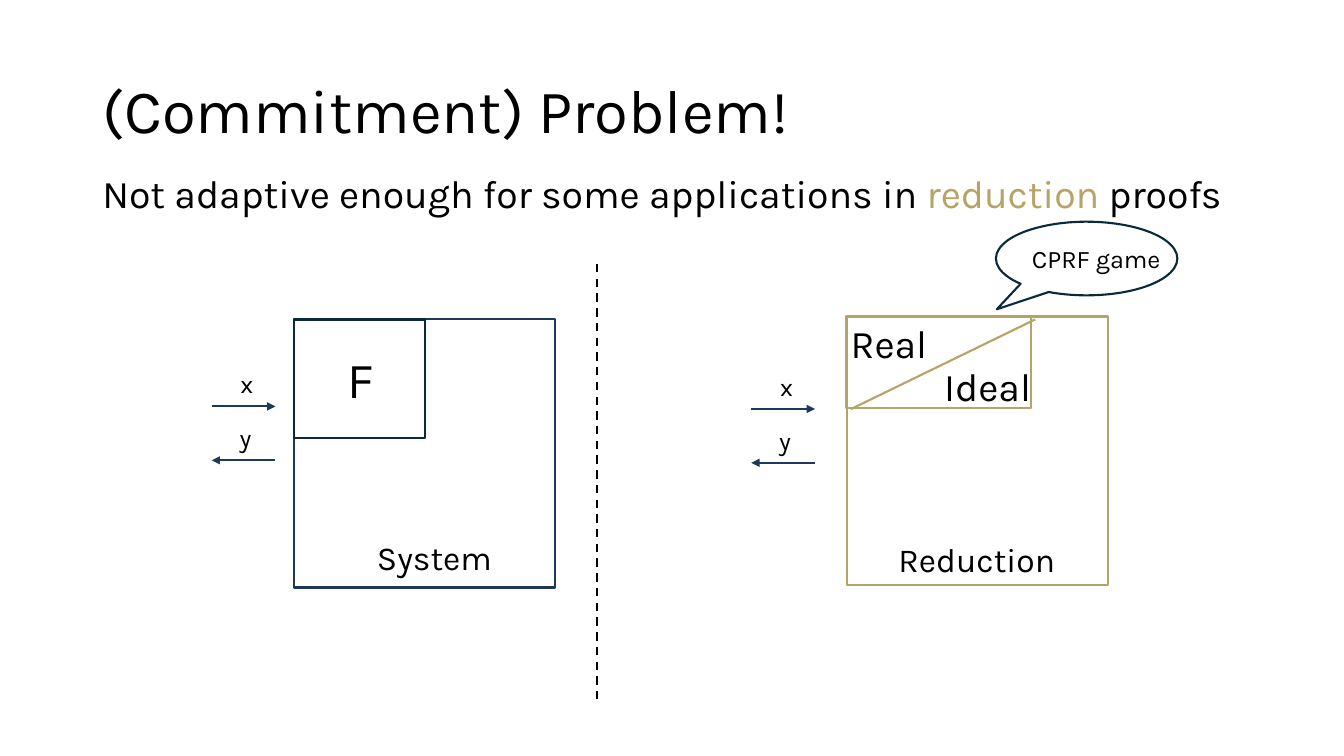
from lxml.etree import SubElement
from pptx import Presentation
from pptx.dml.color import RGBColor
from pptx.enum.dml import MSO_LINE
from pptx.enum.shapes import MSO_CONNECTOR, MSO_SHAPE
from pptx.enum.text import MSO_ANCHOR, MSO_AUTO_SIZE, PP_ALIGN
from pptx.oxml.ns import qn
from pptx.util import Pt

BLACK = RGBColor(0x00, 0x00, 0x00)
GOLD = RGBColor(0xB4, 0xA4, 0x65)
NAVY = RGBColor(0x1A, 0x39, 0x5B)
DARK = RGBColor(0x09, 0x2A, 0x39)
FONT = "Karla"
LEFT, MID = PP_ALIGN.LEFT, PP_ALIGN.CENTER

# Content: lengths in points
TITLE = "(Commitment) Problem!"
CLAIM = [("Not adaptive enough for some applications in ", BLACK),
         ("reduction", GOLD), (" proofs", BLACK)]

# Outer boxes: left, top, colour
PANELS = [(210.2, 228.2, NAVY), (604.8, 226.1, GOLD)]
SIDE, TALL = 186.5, 191.5

# Arrow groups: left, top of the first arrow
FLOWS = [(151.2, 290.3), (536.6, 292.1)]
REACH, STEP = 45.6, 38.5

# Inner boxes: left, top, width, height, colour
CELLS = [(210.2, 228.2, 93.6, 85, DARK), (604.1, 226.1, 132.5, 65.5, GOLD)]

# Labels: text, left, top, width, height, size, alignment
LABELS = [
    ("System", 255.6, 380.2, 109.4, 36, 24, MID),
    ("Reduction", 632.2, 381.6, 131, 36, 24, MID),
    ("F", 220.3, 244.8, 74.2, 51, 36, MID),
    ("Real", 600.5, 224.6, 123.8, 41, 28, LEFT),
    ("Ideal", 667.4, 255.6, 172.8, 41, 28, LEFT),
    ("CPRF game", 717.1, 170.6, 131.8, 29, 18, MID),
]

deck = Presentation()
deck.slide_width, deck.slide_height = Pt(960), Pt(540)
slide = deck.slides.add_slide(deck.slide_layouts[5])
shapes = slide.shapes


def style(para, size, align):
    para.alignment = align
    for run in para.runs:
        run.font.name, run.font.size = FONT, Pt(size)
        run.font.color.rgb = BLACK


def label(text, x, y, w, h, size, align):
    box = shapes.add_textbox(Pt(x), Pt(y), Pt(w), Pt(h))
    box.text_frame.word_wrap = True
    para = box.text_frame.paragraphs[0]
    para.text = text
    style(para, size, align)
    return para


def frame(kind, x, y, w, h, color):
    box = shapes.add_shape(kind, Pt(x), Pt(y), Pt(w), Pt(h))
    box.shadow.inherit = False
    box.fill.background()
    box.line.color.rgb, box.line.width = color, Pt(1.5)
    return box


def rule(x1, y1, x2, y2, color):
    line = shapes.add_connector(MSO_CONNECTOR.STRAIGHT,
                                Pt(x1), Pt(y1), Pt(x2), Pt(y2))
    line.line.color.rgb, line.line.width = color, Pt(1.5)
    SubElement(line._element.spPr, qn("a:effectLst"))
    return line


def arrow(x1, x2, y):
    line = rule(x1, y, x2, y, NAVY)
    SubElement(line.line._get_or_add_ln(), qn("a:tailEnd"), type="triangle")


# Title
title = shapes.title
title.left, title.top, title.width, title.height = Pt(66), Pt(28.8), Pt(828), Pt(104.4)
title.text_frame.text = TITLE
title.text_frame.auto_size = MSO_AUTO_SIZE.NONE
title.text_frame.vertical_anchor = MSO_ANCHOR.MIDDLE
head = title.text_frame.paragraphs[0]
head.line_spacing = 0.9
style(head, 44, LEFT)

# Claim with its coloured word
claim = label("", 66, 117.4, 834, 41, 28, LEFT)
for text, _ in CLAIM:
    claim.add_run().text = text
style(claim, 28, LEFT)
for run, (_, color) in zip(claim.runs, CLAIM):
    run.font.color.rgb = color

# Boxes, and the diagonal between real and ideal
for x, y, color in PANELS:
    frame(MSO_SHAPE.RECTANGLE, x, y, SIDE, TALL, color)
for cell in CELLS:
    frame(MSO_SHAPE.RECTANGLE, *cell)
rule(607.7, 292.3, 739.4, 228.2, GOLD)

# Input and output arrows
for x, y in FLOWS:
    arrow(x, x + REACH, y)
    arrow(x + REACH, x, y + STEP)
    for row, name in enumerate("xy"):
        label(name, x - 18 - row, y - 30.5 + row * STEP, 86.4, 29, 18, MID)

# Divider
rule(426.2, 188.6, 426.2, 504, BLACK).line.dash_style = MSO_LINE.DASH

# Callout
bubble = frame(MSO_SHAPE.OVAL_CALLOUT, 711.4, 158.4, 129.6, 52.6, DARK)
bubble.adjustments[0], bubble.adjustments[1] = -0.495, 0.689

for item in LABELS:
    label(*item)

deck.save("out.pptx")
